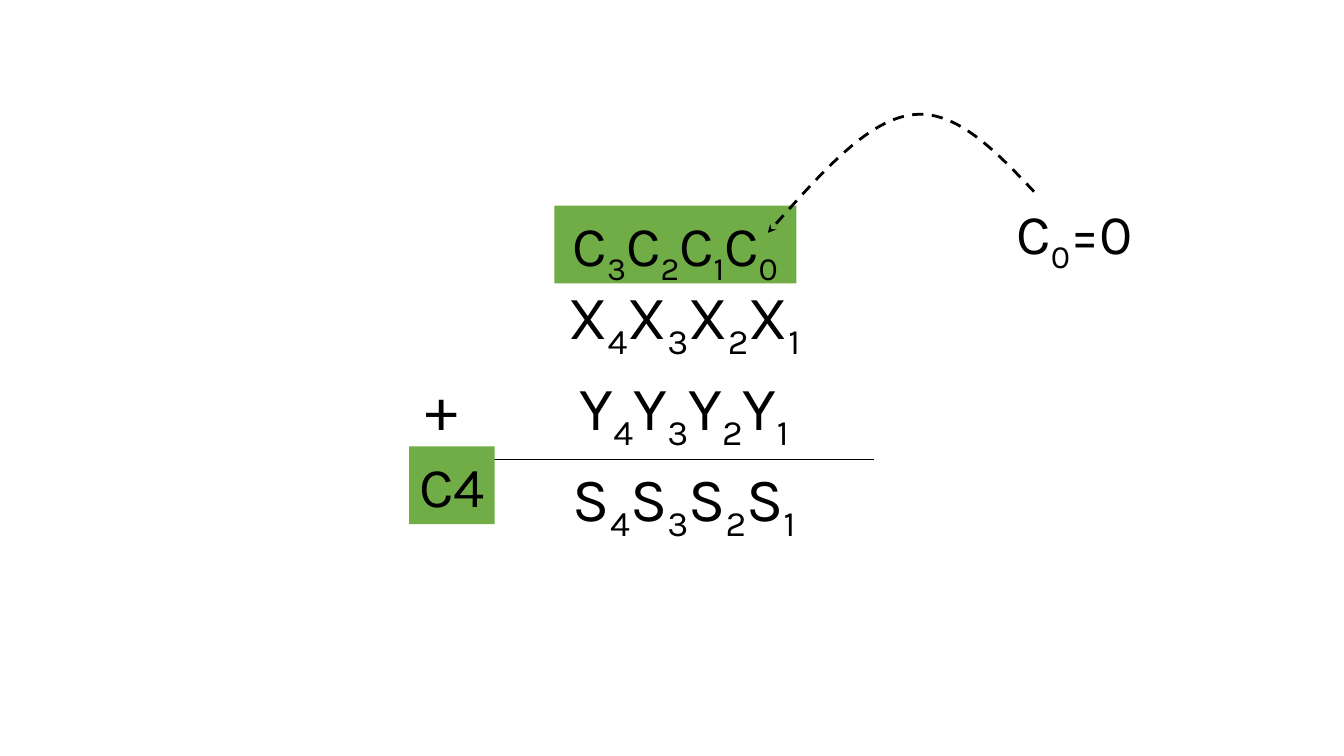
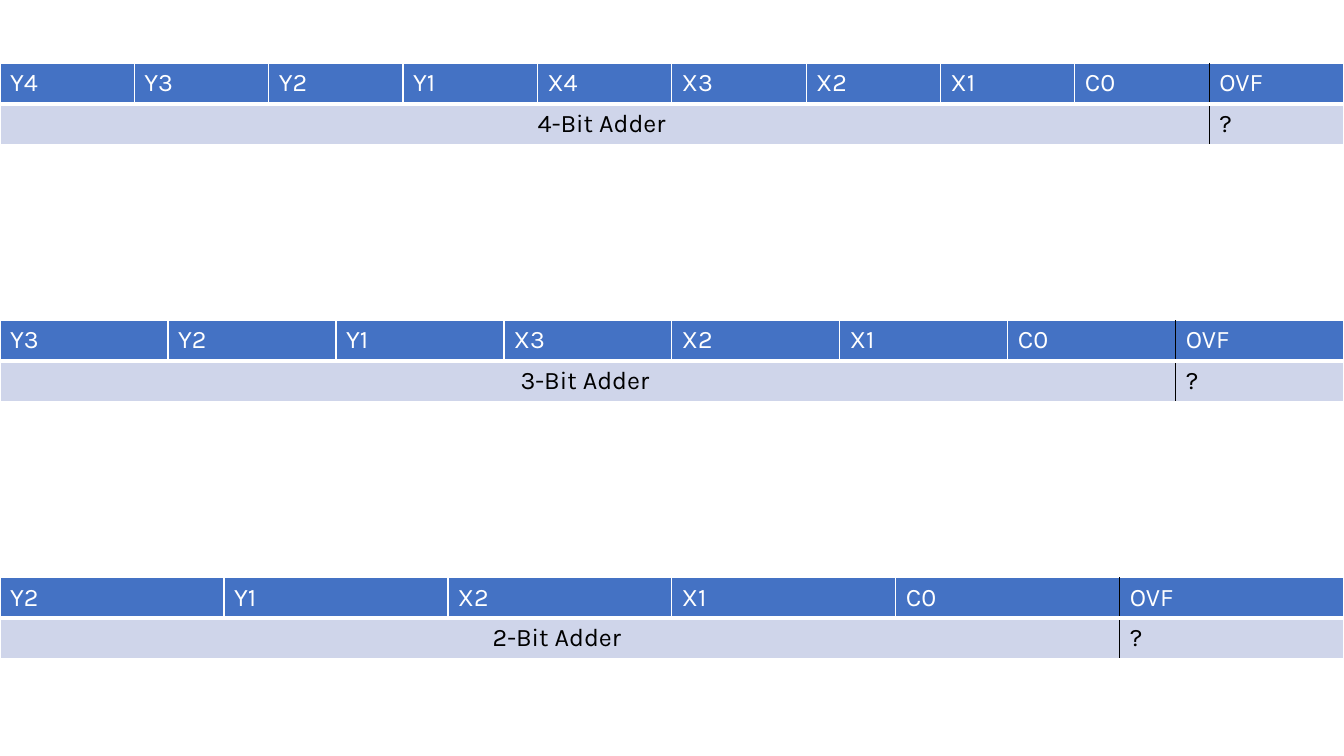
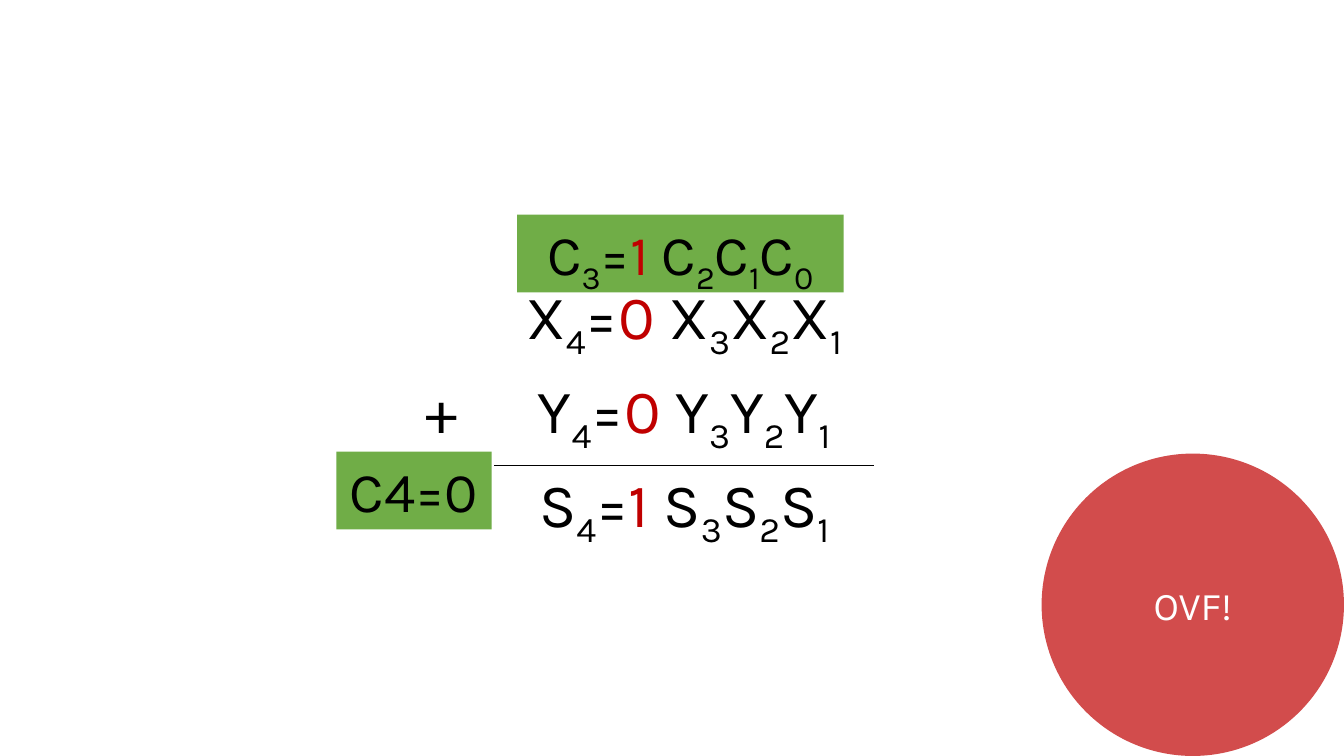
from itertools import groupby

from lxml import etree
from pptx import Presentation
from pptx.dml.color import RGBColor
from pptx.enum import dml, shapes, text
from pptx.oxml import ns
from pptx.util import Cm, Pt

BLACK = RGBColor(0x00, 0x00, 0x00)
WHITE = RGBColor(0xFF, 0xFF, 0xFF)
GREEN = RGBColor(0x70, 0xAD, 0x47)
RED = RGBColor(0xC0, 0x00, 0x00)
BLUE = RGBColor(0x44, 0x72, 0xC4)
PALE_BLUE = RGBColor(0xCF, 0xD5, 0xEA)

FONT = "Karla"
WIDTH, HEIGHT = 33.87, 19.05
BOX_HEIGHT = 1.96
NO_GRID_STYLE = "{2D5ABB26-0587-4C30-8999-92F81FD0307C}"
MARKS = {"_": "subscript", "^": "red"}
CENTER, LEFT = text.PP_ALIGN.CENTER, text.PP_ALIGN.LEFT


def styled_runs(marked):
    """Split text into (style, run): "_" lowers the next character, "^" reddens it."""
    styled, style = [], "plain"
    for char in marked:
        if char in MARKS:
            style = MARKS[char]
        else:
            styled.append((style, char))
            style = "plain"
    for style, group in groupby(styled, key=lambda pair: pair[0]):
        yield style, "".join(char for _, char in group)


def sub(parent, tag, **attributes):
    return etree.SubElement(parent, ns.qn(tag), attributes)


class Deck:
    def __init__(self):
        self.prs = Presentation()
        self.prs.slide_width, self.prs.slide_height = Cm(WIDTH), Cm(HEIGHT)
        self.slide = None

    def new_slide(self):
        self.slide = self.prs.slides.add_slide(self.prs.slide_layouts[6])

    def put_text(self, frame, marked, size, color=BLACK, align=CENTER):
        paragraph = frame.paragraphs[0]
        paragraph.alignment = align
        for style, content in styled_runs(marked):
            run = paragraph.add_run()
            run.text = content
            for name, value in {"name": FONT, "size": Pt(size)}.items():
                setattr(run.font, name, value)
            run.font.color.rgb = RED if style == "red" else color
            if style == "subscript":
                run.font._element.set("baseline", "-25000")

    def fit(self, frame):
        settings = {"word_wrap": False, "auto_size": text.MSO_AUTO_SIZE.SHAPE_TO_FIT_TEXT,
                    "vertical_anchor": text.MSO_ANCHOR.TOP}
        for name, value in settings.items():
            setattr(frame, name, value)

    def filled(self, preset, left, top, width, height, color):
        shape = self.slide.shapes.add_shape(preset, Cm(left), Cm(top), Cm(width), Cm(height))
        shape.shadow.inherit = False
        shape.fill.solid()
        shape.fill.fore_color.rgb = color
        shape.line.fill.background()
        return shape

    def carry_box(self, left, top, width, marked):
        box = self.filled(shapes.MSO_SHAPE.RECTANGLE, left, top, width, BOX_HEIGHT, GREEN)
        self.fit(box.text_frame)
        self.put_text(box.text_frame, marked, 40)

    def label(self, left, top, width, marked):
        box = self.slide.shapes.add_textbox(Cm(left), Cm(top), Cm(width), Cm(BOX_HEIGHT))
        self.fit(box.text_frame)
        self.put_text(box.text_frame, marked, 40, align=LEFT)

    def alert(self, size, marked):
        circle = self.filled(shapes.MSO_SHAPE.OVAL, WIDTH - size, HEIGHT - size, size, size, RED)
        sub(circle._element.spPr.find(".//" + ns.qn("a:srgbClr")), "a:alpha", val="70000")
        circle.text_frame.vertical_anchor = text.MSO_ANCHOR.MIDDLE
        self.put_text(circle.text_frame, marked, 28, WHITE)

    def curved_arrow(self, points):
        """Draw a dashed Bézier arrow: a start point, then triples of points."""
        start, *rest = [(Cm(x), Cm(y)) for x, y in points]
        builder = self.slide.shapes.build_freeform(*start)
        builder.add_line_segments(rest, close=False)
        arrow = builder.convert_to_shape()
        arrow.shadow.inherit = False
        arrow.fill.background()
        for name, value in {"width": Pt(2), "dash_style": dml.MSO_LINE.DASH}.items():
            setattr(arrow.line, name, value)
        arrow.line.color.rgb = BLACK
        sub(arrow._element.spPr.find(ns.qn("a:ln")), "a:tailEnd", type="stealth")
        outline = arrow._element.find(".//" + ns.qn("a:path"))
        segments = outline.findall(ns.qn("a:lnTo"))
        for first in range(0, len(segments), 3):
            curve = sub(outline, "a:cubicBezTo")
            for segment in segments[first:first + 3]:
                curve.append(segment[0])
                outline.remove(segment)

    def table(self, left, top, widths, row_height, row_count):
        frame = self.slide.shapes.add_table(row_count, len(widths), Cm(left), Cm(top),
                                            Cm(sum(widths)), Cm(row_height * row_count))
        table = frame.table
        table.first_row = table.horz_banding = False
        table._tbl.tblPr.find(ns.qn("a:tableStyleId")).text = NO_GRID_STYLE
        for column, width in zip(table.columns, widths):
            column.width = Cm(width)
        return table

    def borders(self, cell, **sides):
        """Set borders, each given as side=(colour, points), in the order L, R, T, B."""
        for side, (color, points) in sides.items():
            line = sub(cell._tc.get_or_add_tcPr(), f"a:ln{side}", w=str(Pt(points)))
            sub(sub(line, "a:solidFill"), "a:srgbClr", val=str(color))

    def sum_table(self, row_height, x, y, total):
        table = self.table(9.83, 6.99, [2.62, 9.58, 1.98], row_height, 3)
        for row, marked in enumerate((x, y, total)):
            self.put_text(table.cell(row, 1).text_frame, marked, 44)
        self.put_text(table.cell(1, 0).text_frame, "+", 44)
        self.borders(table.cell(1, 1), B=(BLACK, 1))
        self.borders(table.cell(2, 1), T=(BLACK, 1))

    def adder_table(self, top, bits):
        inputs = [f"{name}{bit}" for name in "YX" for bit in range(bits, 0, -1)] + ["C0"]
        headings = inputs + ["OVF"]
        last = len(inputs)
        table = self.table(0, top, [WIDTH / len(headings)] * len(headings), 1.02, 2)
        table.cell(1, 0).merge(table.cell(1, last - 1))
        for row, (color, below) in enumerate([(BLUE, 3), (PALE_BLUE, 1)]):
            for column in range(len(headings)):
                cell = table.cell(row, column)
                merged = row == 1 and column < last
                self.borders(cell,
                             L=(BLACK if column == last else WHITE, 1),
                             R=(BLACK if merged or column == last - 1 else WHITE, 1),
                             T=(WHITE, 3 if row else 1), B=(WHITE, below))
                cell.fill.solid()
                cell.fill.fore_color.rgb = color
        for column, heading in enumerate(headings):
            self.put_text(table.cell(0, column).text_frame, heading, 18, WHITE, LEFT)
        self.put_text(table.cell(1, 0).text_frame, f"{bits}-Bit Adder ", 18)
        self.put_text(table.cell(1, last).text_frame, "?", 18, align=LEFT)


def carry_slide(deck):
    deck.new_slide()
    deck.sum_table(2.29, "X_4X_3X_2X_1", "Y_4Y_3Y_2Y_1", "S_4S_3S_2S_1")
    deck.carry_box(10.31, 11.25, 2.16, "C4")
    deck.carry_box(13.97, 5.18, 6.1, "C_3C_2C_1C_0")
    deck.curved_arrow([(26.06, 4.83), (25.07, 3.78), (24.05, 2.72), (22.94, 2.9),
                       (21.82, 3.07), (20.6, 4.47), (19.35, 5.87)])
    deck.label(25.37, 4.88, 3.66, "C_0=0")


def adders_slide(deck):
    deck.new_slide()
    for place, bits in enumerate((4, 3, 2)):
        deck.adder_table(1.6 + 6.48 * place, bits)


def overflow_slide(deck):
    deck.new_slide()
    deck.carry_box(8.48, 11.38, 3.91, "C4=0")
    deck.carry_box(13.03, 5.41, 8.23, "C_3=^1 C_2C_1C_0")
    deck.sum_table(2.36, "X_4=^0 X_3X_2X_1", "Y_4=^0 Y_3Y_2Y_1", "S_4=^1 S_3S_2S_1")
    deck.alert(7.62, "OVF!")


def main():
    deck = Deck()
    carry_slide(deck)
    adders_slide(deck)
    overflow_slide(deck)
    deck.prs.save("out.pptx")


if __name__ == "__main__":
    main()
